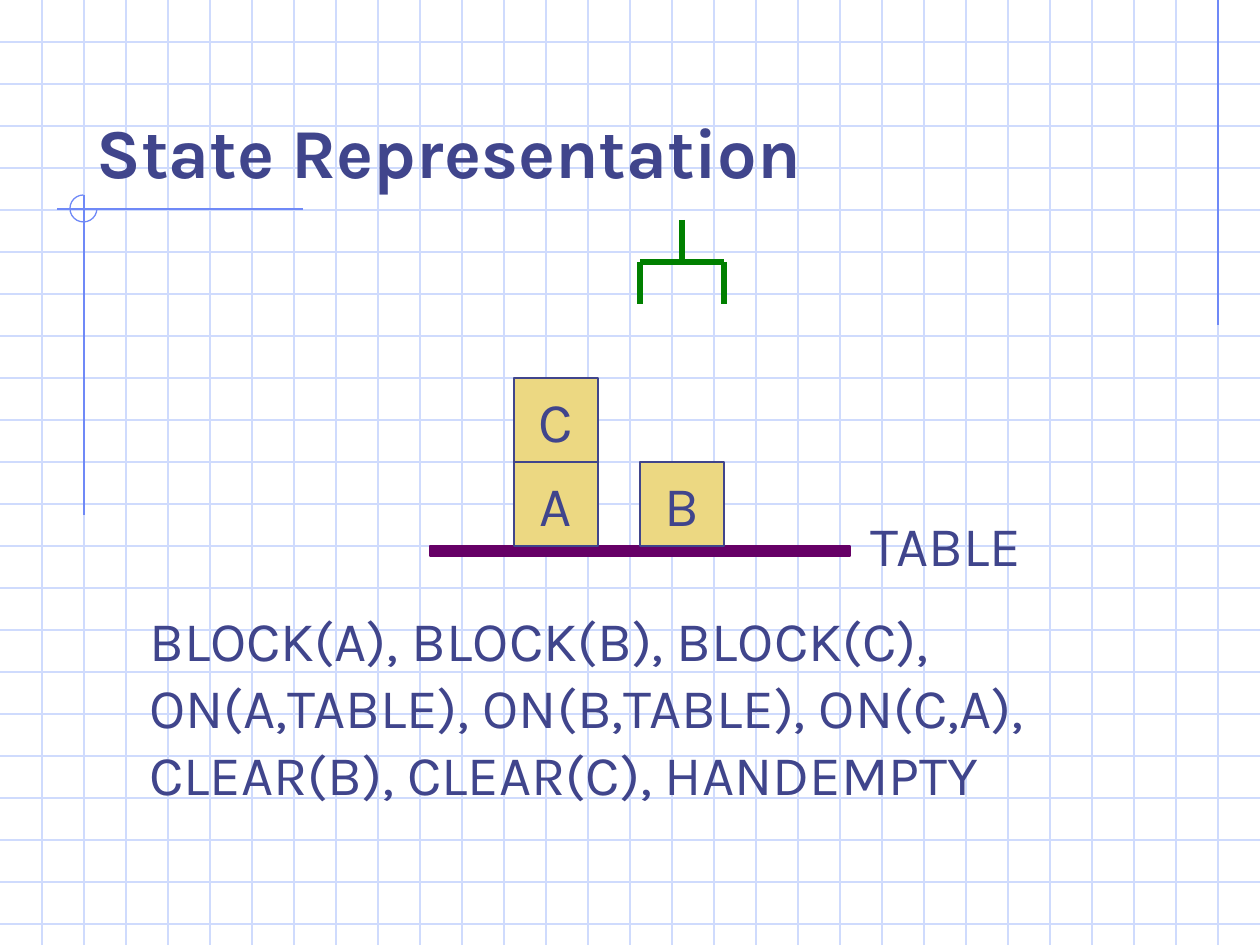
from lxml import etree
from pptx import Presentation
from pptx.dml.color import RGBColor
from pptx.enum.shapes import MSO_CONNECTOR, MSO_SHAPE
from pptx.enum.text import MSO_ANCHOR, MSO_AUTO_SIZE, PP_ALIGN
from pptx.oxml.ns import qn
from pptx.util import Emu, Pt

STRAIGHT = MSO_CONNECTOR.STRAIGHT
RECTANGLE, ARC = MSO_SHAPE.RECTANGLE, MSO_SHAPE.ARC
TOP, MIDDLE, BOTTOM = MSO_ANCHOR.TOP, MSO_ANCHOR.MIDDLE, MSO_ANCHOR.BOTTOM
LEFT, CENTER = PP_ALIGN.LEFT, PP_ALIGN.CENTER
NO_AUTOFIT = MSO_AUTO_SIZE.NONE

WIDTH, HEIGHT = 1260, 945
GRID = 42
BLOCK = 2 * GRID
TITLE_ONLY = 5
COLORS = {
    "paper": "FFFFFF",
    "grid": "CFDBFD",
    "accent": "6F89F7",
    "text": "40458C",
    "block": "ECD882",
    "table": "660066",
    "hand": "008000",
}


def px(length):
    return Emu(round(length * 914400 / 126))


def color(name):
    return RGBColor.from_string(COLORS[name])


class SlideBuilder:
    font = "Karla"
    body_size = 32
    title_size = 40
    thin = 0.75

    def __init__(self, page):
        self.page = page

    def outline(self, item, name, weight):
        item.line.color.rgb = color(name)
        item.line.width = Pt(weight)

    def line(self, x1, y1, x2, y2, name, weight=thin):
        line = self.page.shapes.add_connector(
            STRAIGHT, px(x1), px(y1), px(x2), px(y2))
        self.outline(line, name, weight)
        etree.SubElement(line.element.spPr, qn("a:effectLst"))

    def shape(self, kind, left, top, width, height, line, fill=None):
        shape = self.page.shapes.add_shape(
            kind, px(left), px(top), px(width), px(height))
        shape.shadow.inherit = False
        self.outline(shape, line, self.thin)
        if fill:
            shape.fill.solid()
            shape.fill.fore_color.rgb = color(fill)
        else:
            shape.fill.background()
        return shape

    def set_text(self, box, lines, anchor=TOP, align=LEFT, size=body_size,
                 bold=False, wrap=True):
        frame = box.text_frame
        frame.word_wrap = wrap
        frame.auto_size = NO_AUTOFIT
        frame.vertical_anchor = anchor
        frame.text = "\n".join(lines)
        for para in frame.paragraphs:
            para.alignment = align
            for span in para.runs:
                span.font.name = self.font
                span.font.size = Pt(size)
                span.font.bold = bold
                span.font.color.rgb = color("text")

    def text(self, left, top, width, height, lines):
        box = self.page.shapes.add_textbox(
            px(left), px(top), px(width), px(height))
        self.set_text(box, lines)

    def block(self, left, top, letter):
        block = self.shape(RECTANGLE, left, top, BLOCK, BLOCK, "text", "block")
        self.set_text(block, [letter], MIDDLE, CENTER, wrap=False)

    def title(self, left, top, width, height, words):
        title = self.page.shapes.title
        title.left, title.top = px(left), px(top)
        title.width, title.height = px(width), px(height)
        self.set_text(title, [words], BOTTOM, size=self.title_size, bold=True)
        # Bring the title in front of the grid
        title.element.getparent().append(title.element)


def main():
    deck = Presentation()
    deck.slide_width, deck.slide_height = px(WIDTH), px(HEIGHT)
    page = deck.slides.add_slide(deck.slide_layouts[TITLE_ONLY])
    page.background.fill.solid()
    page.background.fill.fore_color.rgb = color("paper")
    builder = SlideBuilder(page)

    # Graph paper
    for y in range(GRID, HEIGHT, GRID):
        builder.line(0, y, WIDTH, y, "grid")
    for x in range(GRID, WIDTH, GRID):
        builder.line(x, 0, x, HEIGHT, "grid")

    # Accent lines and three-quarter circle
    builder.line(1218, 0, 1218, 325, "accent")
    builder.line(303, 209, 57, 209, "accent")
    builder.line(84, 195, 84, 515, "accent")
    arc = builder.shape(ARC, 70, 195, 27, 27, "accent")
    arc.adjustments[0] = 0
    arc.adjustments[1] = 162  # ends at 270 degrees

    builder.title(84, 42, 1071, 157, "State Representation")

    # State description
    builder.text(137, 599, 990, 214, [
        "BLOCK(A), BLOCK(B), BLOCK(C),",
        "ON(A,TABLE), ON(B,TABLE), ON(C,A), \vCLEAR(B), CLEAR(C), HANDEMPTY",
    ])

    # Table with its blocks
    table_top = 546
    left_stack, right_stack = 514, 640
    builder.shape(RECTANGLE, 430, table_top, 420, 10, "table", "table")
    for letter, left, level in (("A", left_stack, 1), ("B", right_stack, 1),
                                ("C", left_stack, 2)):
        builder.block(left, table_top - level * BLOCK, letter)

    # Robot hand above block B
    bar, middle, right = 262, right_stack + GRID, right_stack + BLOCK
    for x1, y1, x2, y2 in ((right_stack, bar, right, bar),
                           (right_stack, bar, right_stack, bar + GRID),
                           (middle, bar - GRID, middle, bar),
                           (right, bar, right, bar + GRID)):
        builder.line(x1, y1, x2, y2, "hand", 3)

    builder.text(858, 504, 189, 81, ["TABLE"])

    deck.save("out.pptx")


if __name__ == "__main__":
    main()
